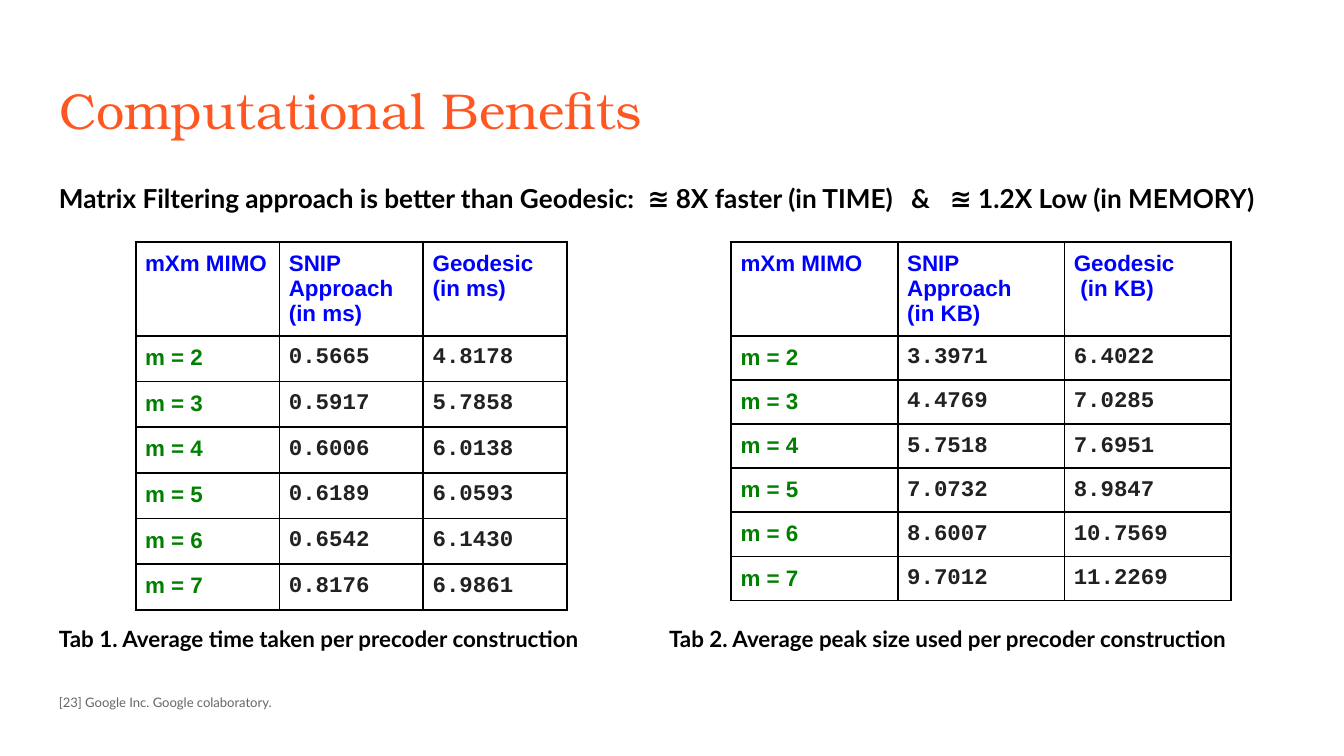
"""Build the slide comparing time and memory costs of two precoder methods."""
from lxml import etree
from pptx import Presentation
from pptx.dml.color import RGBColor
from pptx.enum.text import MSO_ANCHOR, MSO_AUTO_SIZE, PP_ALIGN
from pptx.oxml.ns import qn
from pptx.util import Inches, Pt

LEFT = PP_ALIGN.LEFT
TOP = MSO_ANCHOR.TOP
NO_FIT = MSO_AUTO_SIZE.NONE

TITLE = "Computational Benefits"
SUMMARY = ("Matrix Filtering approach is better than Geodesic:\t≊ 8X faster (in TIME)"
           "\t&\t≊ 1.2X Low (in MEMORY)")
SUMMARY_TABS = (4.38, 6.34, 6.63)
SOURCE = "[23] Google Inc. Google colaboratory."
TEXT_LEFT = 0.34
TABLE_TOP = 1.8
CELL_MARGIN = 0.07
UNIT_INDENT = 0.05

TABLES = [
    {
        "left": 1.01, "column": 1.07, "header_height": 0.64, "row_height": 0.34,
        "header": ["mXm MIMO", "SNIP Approach (in ms)", "Geodesic (in ms)"],
        "rows": [
            ["m = 2", "0.5665", "4.8178"],
            ["m = 3", "0.5917", "5.7858"],
            ["m = 4", "0.6006", "6.0138"],
            ["m = 5", "0.6189", "6.0593"],
            ["m = 6", "0.6542", "6.1430"],
            ["m = 7", "0.8176", "6.9861"],
        ],
        "caption": "Tab 1. Average time taken per precoder construction",
        "caption_left": TEXT_LEFT,
    },
    {
        "left": 5.44, "column": 1.24, "header_height": 0.27, "row_height": 0.27,
        "header": ["mXm MIMO", "SNIP Approach\n(in KB)", "Geodesic\n(in KB)"],
        "rows": [
            ["m = 2", "3.3971", "6.4022"],
            ["m = 3", "4.4769", "7.0285"],
            ["m = 4", "5.7518", "7.6951"],
            ["m = 5", "7.0732", "8.9847"],
            ["m = 6", "8.6007", "10.7569"],
            ["m = 7", "9.7012", "11.2269"],
        ],
        "caption": "Tab 2. Average peak size used per precoder construction",
        "caption_left": 4.88,
    },
]


def style(frame, size, font, color, bold=False):
    for para in frame.paragraphs:
        para.alignment = LEFT
        for span in para.runs:
            span.font.size = Pt(size)
            span.font.name = font
            span.font.bold = bold
            span.font.color.rgb = RGBColor.from_string(color)


def set_frame(frame, text):
    frame.word_wrap = True
    frame.auto_size = NO_FIT
    frame.vertical_anchor = TOP
    frame.margin_left = frame.margin_right = Inches(0.1)
    frame.margin_top = frame.margin_bottom = Inches(0.1)
    frame.text = text


def add_text(page, text, place, size, color="000000", bold=True):
    box = page.shapes.add_textbox(*map(Inches, place))
    set_frame(box.text_frame, text)
    style(box.text_frame, size, "Lato", color, bold)
    return box.text_frame.paragraphs[0]


def add_tabs(para, stops):
    tab_list = etree.SubElement(para._p.get_or_add_pPr(), qn("a:tabLst"))
    for stop in stops:
        etree.SubElement(tab_list, qn("a:tab"), pos=str(Inches(stop)), algn="l")


def add_borders(cell):
    properties = cell._tc.get_or_add_tcPr()
    for side in ("lnL", "lnR", "lnT", "lnB"):
        line = etree.SubElement(properties, qn(f"a:{side}"), w=str(Pt(1)))
        fill = etree.SubElement(line, qn("a:solidFill"))
        etree.SubElement(fill, qn("a:srgbClr"), val="000000")


def cell_style(row, column):
    if row == 0:
        return "Arial", "0000FF"
    return ("Arial", "008000") if column == 0 else ("Courier New", "212121")


def add_results(page, data):
    grid = [data["header"]] + data["rows"]
    heights = [data["header_height"]] + [data["row_height"]] * len(data["rows"])
    count = len(data["header"])
    place = (data["left"], TABLE_TOP, data["column"] * count, sum(heights))
    table = page.shapes.add_table(len(grid), count, *map(Inches, place)).table
    table.first_row = table.horz_banding = False
    for column in table.columns:
        column.width = Inches(data["column"])
    for row, (values, height) in enumerate(zip(grid, heights)):
        table.rows[row].height = Inches(height)
        for column, value in enumerate(values):
            cell = table.cell(row, column)
            add_borders(cell)
            cell.fill.background()
            cell.margin_left = cell.margin_right = Inches(CELL_MARGIN)
            cell.margin_top = cell.margin_bottom = Inches(CELL_MARGIN)
            cell.text_frame.text = value
            style(cell.text_frame, 12, *cell_style(row, column), bold=True)
    for unit in table.cell(0, count - 1).text_frame.paragraphs[1:]:
        unit._p.get_or_add_pPr().set("marL", str(Inches(UNIT_INDENT)))


def main():
    deck = Presentation()
    deck.slide_width = Inches(10)
    deck.slide_height = deck.slide_width * 9 // 16
    page = deck.slides.add_slide(deck.slide_layouts[5])
    title = page.shapes.title
    title.left, title.top, title.width, title.height = map(
        Inches, (TEXT_LEFT, 0.49, 9.32, 0.63))
    set_frame(title.text_frame, TITLE)
    style(title.text_frame, 27, "TeX Gyre Bonum", "FF5722")

    for data in TABLES:
        add_results(page, data)
    summary = add_text(page, SUMMARY, (TEXT_LEFT, 1.26, 9.27, 0.44), 14)
    add_tabs(summary, SUMMARY_TABS)
    for data in TABLES:
        add_text(page, data["caption"], (data["caption_left"], 4.55, 4.73, 0.4), 12)
    source = add_text(page, SOURCE, (TEXT_LEFT, 5.05, 6.75, 0.32), 7, "666666", False)
    source.line_spacing = 1.15
    source.space_after = Pt(12)
    deck.save("out.pptx")


if __name__ == "__main__":
    main()
